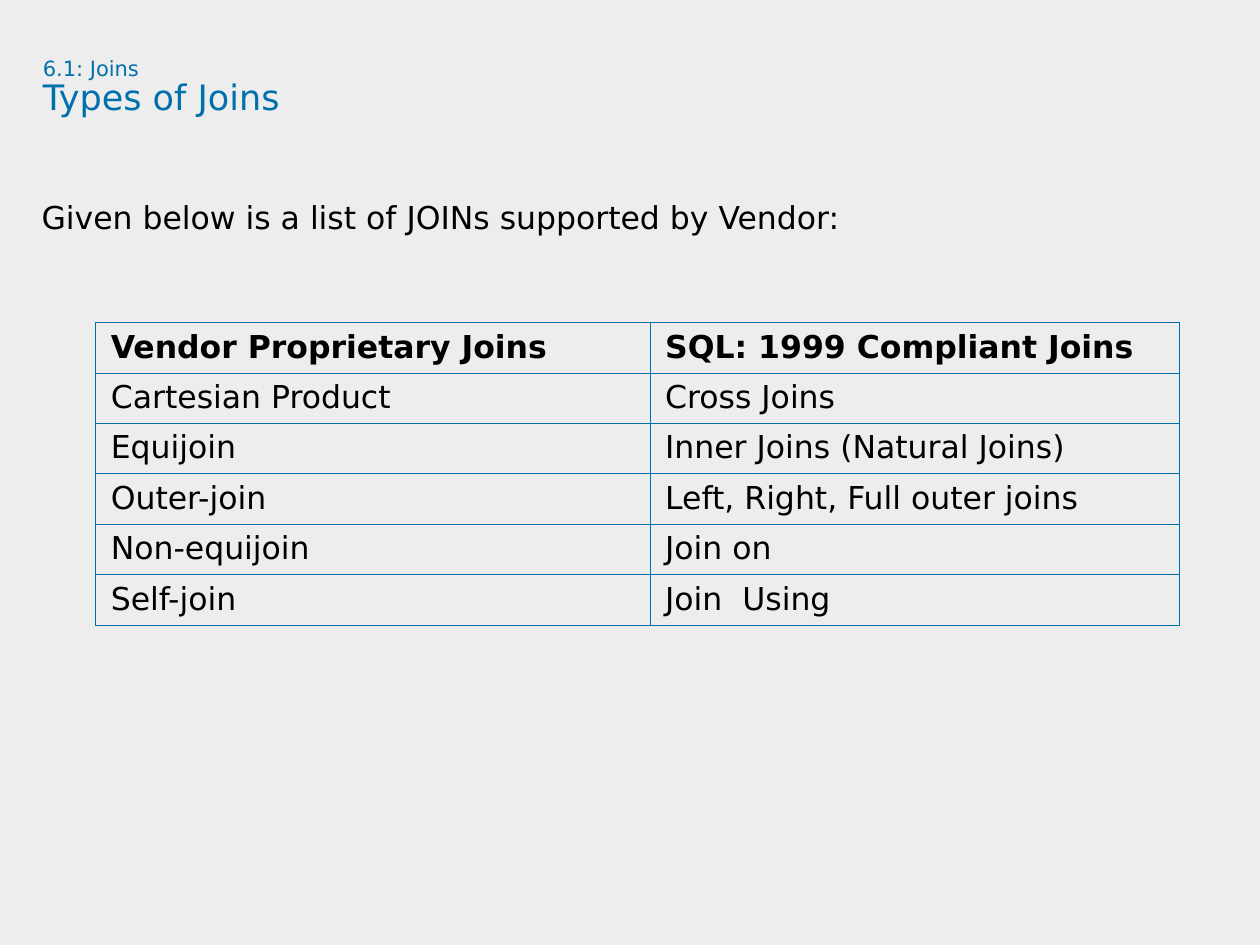
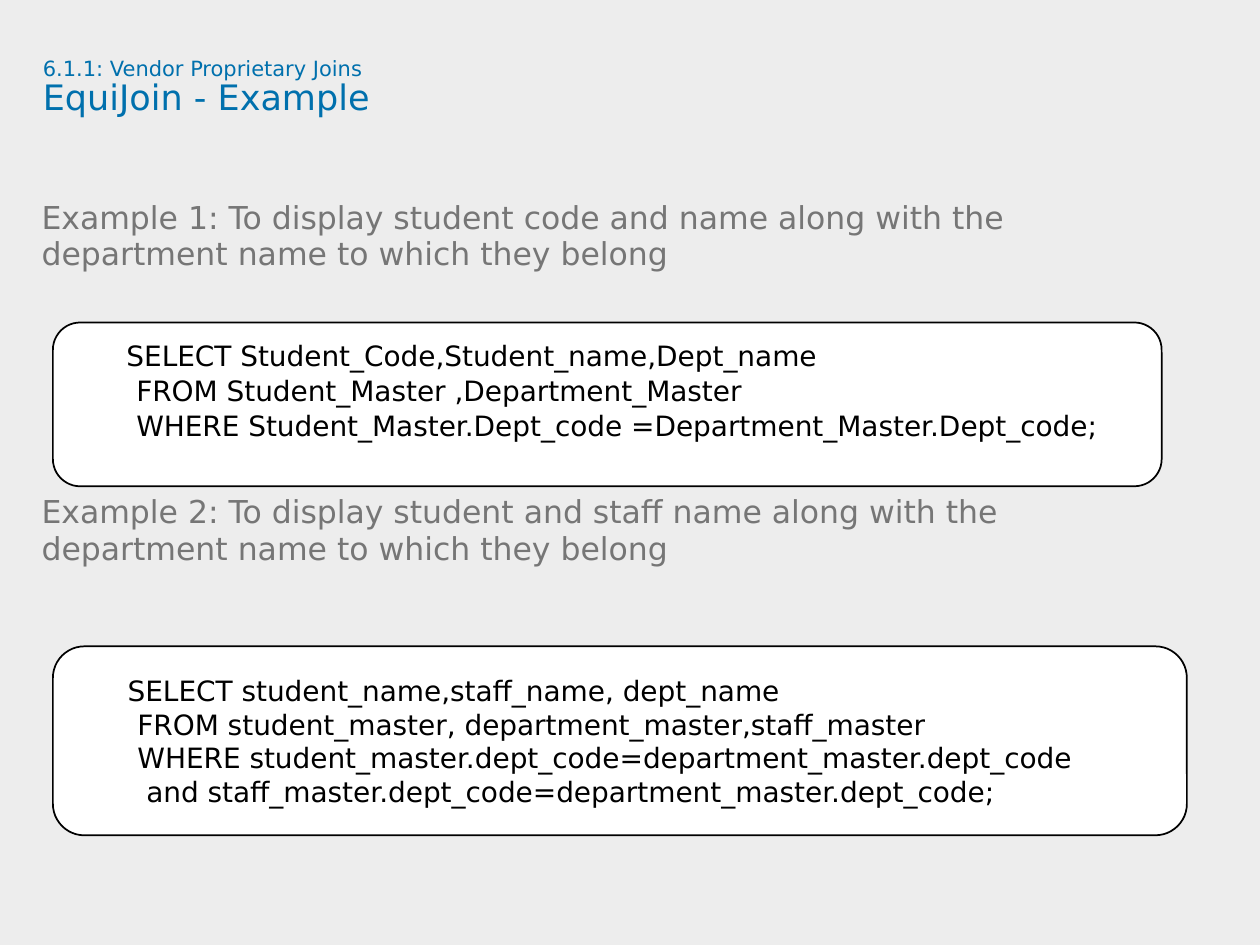
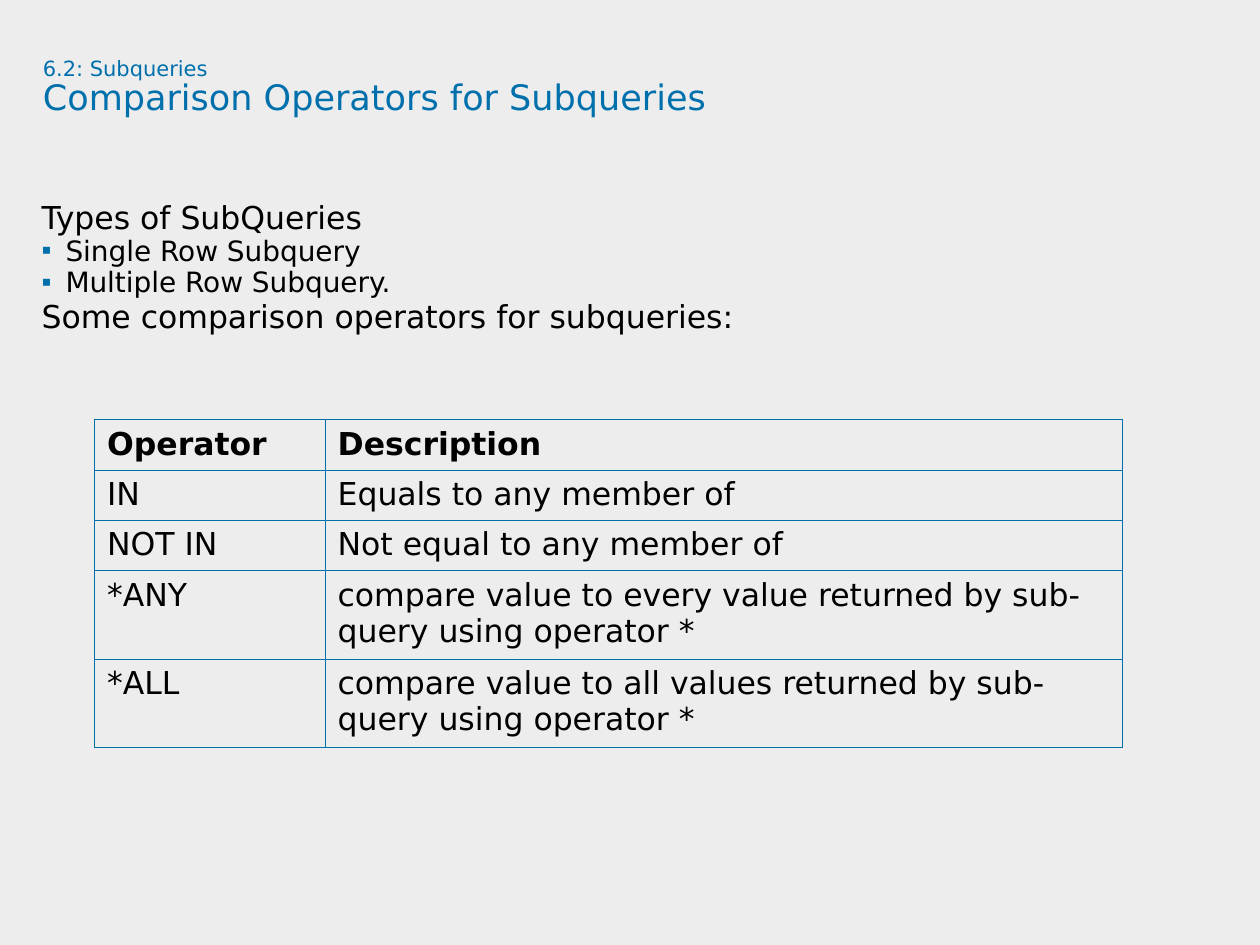
from dataclasses import dataclass

from lxml.etree import SubElement
from pptx import Presentation
from pptx.dml.color import RGBColor
from pptx.enum.shapes import MSO_SHAPE
from pptx.enum.text import MSO_ANCHOR, MSO_AUTO_SIZE, PP_ALIGN
from pptx.oxml.ns import qn
from pptx.util import Inches, Pt


@dataclass(frozen=True)
class Theme:
    font = "DejaVu Sans"
    background = RGBColor.from_string("EDEDED")
    accent = RGBColor.from_string("0070AD")
    black = RGBColor.from_string("000000")
    gray = RGBColor.from_string("767676")
    white = RGBColor.from_string("FFFFFF")
    section_size = Pt(12)
    title_size = Pt(20)
    body_size = Pt(18)
    small_size = Pt(16)
    border_width = Pt(0.45)


theme = Theme()

# Paragraph formats
BODY = {"line_spacing": Pt(16.5), "space_before": Pt(0), "space_after": Pt(4.5)}
BULLET = BODY | {"line_spacing": Pt(13.5), "level": 1}
PLAIN = {"alignment": PP_ALIGN.LEFT}


def write(paragraph, text, size, color, values, bold=False, indent=(0, 0), bullet=None, tab=None):
    """Write one run into a paragraph and format both."""
    properties = paragraph._p.get_or_add_pPr()
    properties.set("marL", str(Inches(indent[0])))
    properties.set("indent", str(Inches(indent[1])))
    if bullet:
        bullet_color = SubElement(properties, qn("a:buClr"))
        SubElement(bullet_color, qn("a:srgbClr"), val=str(theme.accent))
        SubElement(properties, qn("a:buChar"), char=bullet)
    else:
        SubElement(properties, qn("a:buNone"))
    if tab:
        tab_list = SubElement(properties, qn("a:tabLst"))
        SubElement(tab_list, qn("a:tab"), pos=str(Inches(tab)), algn="l")
    for name, value in values.items():
        setattr(paragraph, name, value)
    run = paragraph.add_run()
    run.text = text
    for name, value in {"name": theme.font, "size": size, "bold": bold}.items():
        setattr(run.font, name, value)
    run.font.color.rgb = color


def add_grid(slide, left, top, column_widths, row_heights, side_margin, rows):
    """Add a table with thin borders, no fill and a bold first row."""
    frame = slide.shapes.add_table(
        len(rows), len(column_widths), Inches(left), Inches(top),
        Inches(sum(column_widths)), Inches(sum(row_heights)))
    table = frame.table
    table.first_row = table.horz_banding = False
    for column, width in zip(table.columns, column_widths):
        column.width = Inches(width)
    for row_index, (row, height, texts) in enumerate(zip(table.rows, row_heights, rows)):
        row.height = Inches(height)
        for cell, text in zip(row.cells, texts):
            cell.margin_left = cell.margin_right = Inches(side_margin)
            cell_properties = cell._tc.get_or_add_tcPr()
            for side in ("lnL", "lnR", "lnT", "lnB"):
                border = SubElement(cell_properties, qn(f"a:{side}"), w=str(theme.border_width))
                border_fill = SubElement(border, qn("a:solidFill"))
                SubElement(border_fill, qn("a:srgbClr"), val=str(theme.accent))
            cell.fill.background()
            write(cell.text_frame.paragraphs[0], text, theme.body_size, theme.black,
                  PLAIN, bold=row_index == 0)


presentation = Presentation()
presentation.slide_width = Inches(10)
presentation.slide_height = Inches(7.5)

# Shared background
master_fill = presentation.slide_master.background.fill
master_fill.solid()
master_fill.fore_color.rgb = theme.background

# Titles and body text of every slide
example = {"size": theme.body_size, "color": theme.gray, "values": BODY, "indent": (0.18, -0.18)}
second_example = example | {"values": BODY | {"space_before": Pt(126)}}
statement = {"size": theme.body_size, "color": theme.black, "values": BODY}
bullet_item = {"size": theme.small_size, "color": theme.black, "values": BULLET,
               "indent": (0.19, -0.19), "bullet": "▪"}

contents = [
    ("6.1: Joins", "Types of Joins", [
        ("Given below is a list of JOINs supported by Vendor:", statement),
    ]),
    ("6.1.1: Vendor Proprietary Joins", "EquiJoin - Example", [
        ("Example 1: To display student code and name along with the", example),
        ("department name to which they belong", example),
        ("Example 2: To display student and staff name along with the", second_example),
        ("department name to which they belong", example),
    ]),
    ("6.2: Subqueries", "Comparison Operators for Subqueries", [
        ("Types of SubQueries", statement),
        ("Single Row Subquery", bullet_item),
        ("Multiple Row Subquery.", bullet_item),
        ("Some comparison operators for subqueries:", statement),
    ]),
]

frame_format = {"margin_left": 0, "margin_top": 0, "margin_right": 0, "margin_bottom": 0,
                "vertical_anchor": MSO_ANCHOR.TOP, "word_wrap": True,
                "auto_size": MSO_AUTO_SIZE.NONE}
title_format = PLAIN | {"line_spacing": 0.9, "space_before": Pt(0)}

for section, heading, body_lines in contents:
    slide = presentation.slides.add_slide(presentation.slide_layouts[1])
    title, body = slide.shapes.title, slide.placeholders[1]
    for placeholder, box in ((title, (0.34, 0.46, 9.09, 0.94)), (body, (0.33, 1.64, 9.67, 5.08))):
        for name, value in zip(("left", "top", "width", "height"), box):
            setattr(placeholder, name, Inches(value))
        for name, value in frame_format.items():
            setattr(placeholder.text_frame, name, value)

    title_paragraph = title.text_frame.paragraphs[0]
    write(title_paragraph, section, theme.section_size, theme.accent, title_format)
    title_paragraph.add_line_break()
    write(title_paragraph, heading, theme.title_size, theme.accent, {})

    for index, (text, style) in enumerate(body_lines):
        paragraph = body.text_frame.add_paragraph() if index else body.text_frame.paragraphs[0]
        write(paragraph, text, **style)

joins_slide, example_slide, operators_slide = presentation.slides

# Join types table
add_grid(joins_slide, 0.76, 2.56, [4.4, 4.2], [0.4] * 6, 0.12, [
    ("Vendor Proprietary Joins", "SQL: 1999 Compliant Joins"),
    ("Cartesian Product", "Cross Joins"),
    ("Equijoin", "Inner Joins (Natural Joins)"),
    ("Outer-join", "Left, Right, Full outer joins"),
    ("Non-equijoin", "Join on"),
    ("Self-join", "Join  Using"),
])

# Query boxes: top, width, height, anchor, line spacing, lines with their indents
queries = [
    (2.56, 8.8, 1.3, MSO_ANCHOR.TOP, 1.05, [
        ("      SELECT Student_Code,Student_name,Dept_name", 0),
        ("FROM Student_Master ,Department_Master", 0.5),
        ("WHERE Student_Master.Dept_code =Department_Master.Dept_code;", 0.5),
    ]),
    (5.13, 9, 1.5, MSO_ANCHOR.MIDDLE, 1.0, [
        ("      SELECT student_name,staff_name, dept_name", 0),
        ("      \tFROM student_master, department_master,staff_master", 0),
        ("     \tWHERE student_master.dept_code=department_master.dept_code", 0),
        ("    \t and staff_master.dept_code=department_master.dept_code;", 0),
    ]),
]
for top, width, height, anchor, spacing, code_lines in queries:
    query_box = example_slide.shapes.add_shape(
        MSO_SHAPE.ROUNDED_RECTANGLE, Inches(0.42), Inches(top), Inches(width), Inches(height))
    query_box.shadow.inherit = False
    query_box.fill.solid()
    query_box.fill.fore_color.rgb = theme.white
    query_box.line.color.rgb = theme.black
    query_box.line.width = Pt(1)
    query_frame = query_box.text_frame
    query_frame.word_wrap = True
    query_frame.vertical_anchor = anchor
    for index, (code, indent) in enumerate(code_lines):
        paragraph = query_frame.add_paragraph() if index else query_frame.paragraphs[0]
        write(paragraph, code, theme.small_size, theme.black,
              PLAIN | {"line_spacing": spacing}, indent=(indent, 0), tab=1)

# Comparison operators table
add_grid(operators_slide, 0.75, 3.33, [1.83, 6.33], [0.4] * 3 + [0.7] * 2, 0.1, [
    ("Operator", "Description"),
    ("IN", "Equals to any member of"),
    ("NOT IN", "Not equal to any member of"),
    ("*ANY", "compare value to every value returned by sub-query using operator *"),
    ("*ALL", "compare value to all values returned by sub-query using operator *"),
])

presentation.save("out.pptx")
